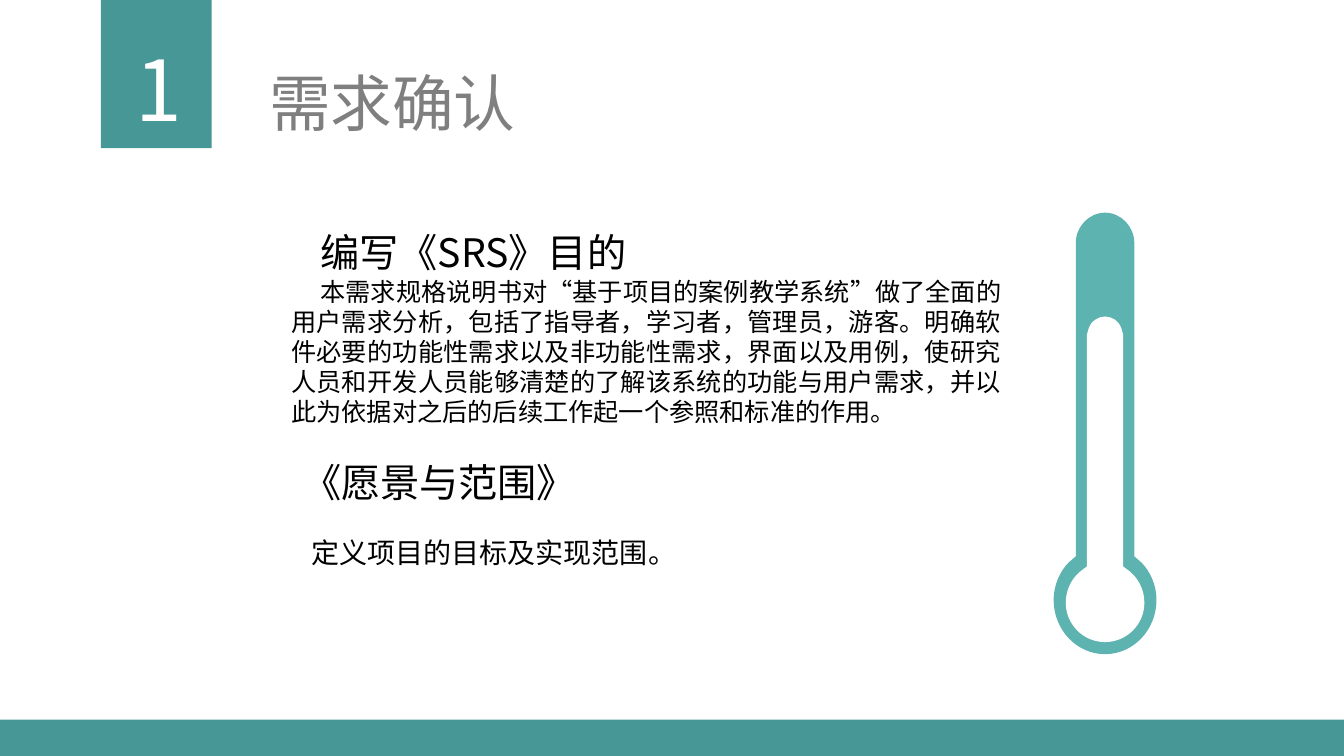
from lxml.etree import SubElement
from pptx import Presentation
from pptx.dml.color import RGBColor
from pptx.enum.shapes import MSO_SHAPE
from pptx.enum.text import PP_ALIGN
from pptx.oxml.ns import qn
from pptx.util import Inches, Pt

TEAL, LIGHT_TEAL = "479796", "5DB3B0"
WHITE, GREY, BLACK = "FFFFFF", "7F7F7F", "000000"
SANS, SANS_KR = "Noto Sans CJK SC", "Noto Sans CJK KR"

# Right halves of the thermometer outlines, x measured from its axis.
# A step of one point is a line, a step of three points is a curve.
AXIS = 10.96
TUBE = [[(0, 2.11)],
        [(0.16, 2.11), (0.29, 2.25), (0.29, 2.41)],
        [(0.29, 5.52)],
        [(0.36, 5.58)],
        [(0.45, 5.67), (0.51, 5.81), (0.51, 5.95)],
        [(0.51, 6.25), (0.28, 6.49), (0, 6.49)]]
COLUMN = [[(0, 3.14)],
          [(0.07, 3.14), (0.14, 3.19), (0.16, 3.25)],
          [(0.18, 3.32)],
          [(0.18, 5.62)],
          [(0.22, 5.65)],
          [(0.32, 5.72), (0.39, 5.84), (0.39, 5.98)],
          [(0.39, 6.19), (0.22, 6.37), (0, 6.37)]]


def rgb(value):
    return RGBColor.from_string(value)


def add_text(p, text, size=18, color=BLACK, font=SANS, east=SANS,
             align=PP_ALIGN.LEFT, indent=0):
    p.alignment = align
    if indent:
        pPr = p._p.get_or_add_pPr()
        pPr.set("marL", "0")
        pPr.set("indent", str(Inches(indent)))
    r = p.add_run()
    r.text = text
    r.font.size = Pt(size)
    r.font.name = font
    r.font.color.rgb = rgb(color)
    SubElement(r._r.get_or_add_rPr(), qn("a:ea")).set("typeface", east)


def mirrored(half):
    """Close a right half with its mirror image, walked backwards."""
    left = []
    for before, step in reversed(list(zip(half, half[1:]))):
        back = step[-2::-1] + [before[-1]]
        left.append([(-x, y) for x, y in back])
    return half + left


class SlideBuilder:
    def __init__(self, prs):
        self.s = prs.slides.add_slide(prs.slide_layouts[6])

    def paint(self, sp, fill):
        sp.shadow.inherit = False
        sp.fill.solid()
        sp.fill.fore_color.rgb = rgb(fill)
        sp.line.fill.background()

    def rect(self, x, y, w, h, fill=TEAL):
        sp = self.s.shapes.add_shape(
            MSO_SHAPE.RECTANGLE, Inches(x), Inches(y), Inches(w), Inches(h))
        self.paint(sp, fill)

    def text(self, x, y, w, h, *lines, wrap=True, **style):
        sp = self.s.shapes.add_textbox(
            Inches(x), Inches(y), Inches(w), Inches(h))
        tf = sp.text_frame
        tf.word_wrap = wrap
        for i, (text, size) in enumerate(lines):
            p = tf.add_paragraph() if i else tf.paragraphs[0]
            add_text(p, text, size, **style)

    def outline(self, half, fill):
        steps = [[(Inches(AXIS + x), Inches(y)) for x, y in step]
                 for step in mirrored(half)]
        ends = [step[-1] for step in steps]
        fb = self.s.shapes.build_freeform(*ends[0])
        fb.add_line_segments(ends[1:], close=False)
        sp = fb.convert_to_shape()
        self.paint(sp, fill)
        # Turn the three-point steps into curves
        lines = list(sp._element.iter(qn("a:lnTo")))
        for line, step in zip(lines, steps[1:]):
            if len(step) == 3:
                curve = line.makeelement(qn("a:cubicBezTo"))
                for x, y in step:
                    pt = SubElement(curve, qn("a:pt"))
                    pt.set("x", str(x - sp.left))
                    pt.set("y", str(y - sp.top))
                line.getparent().replace(line, curve)
        SubElement(next(sp._element.iter(qn("a:moveTo"))).getparent(),
                   qn("a:close"))


def main():
    prs = Presentation()
    prs.slide_width, prs.slide_height = Inches(13.33), Inches(7.5)
    slide = SlideBuilder(prs)

    # Header and footer
    slide.rect(1, 0, 1.1, 1.47)
    slide.text(1.03, 0.32, 1.1, 1.11, ("1", 60), color=WHITE,
               font=SANS_KR, east=SANS_KR, align=PP_ALIGN.CENTER)
    slide.text(2.57, 0.59, 6.93, 0.84, ("需求确认", 44), color=GREY)
    slide.rect(0, 7.14, 13.33, 0.36)

    # Thermometer
    slide.outline(TUBE, LIGHT_TEAL)
    slide.outline(COLUMN, WHITE)

    # Purpose and scope
    slide.text(
        2.79, 2.22, 7.24, 2.09,
        ("编写《SRS》目的", 28),
        ("本需求规格说明书对“基于项目的案例教学系统”做了全面的用户需求分析，"
         "包括了指导者，学习者，管理员，游客。明确软件必要的功能性需求以及非功能性需求，"
         "界面以及用例，使研究人员和开发人员能够清楚的了解该系统的功能与用户需求，"
         "并以此为依据对之后的后续工作起一个参照和标准的作用。", 18),
        align=PP_ALIGN.JUSTIFY, indent=0.29)
    slide.text(2.88, 4.5, 2.95, 0.57, ("《愿景与范围》", 28), wrap=False,
               font="Arial", align=PP_ALIGN.CENTER)
    slide.text(2.99, 5.26, 5.68, 0.44, ("定义项目的目标及实现范围。", 20),
               font="Arial")

    prs.save("out.pptx")


if __name__ == "__main__":
    main()
